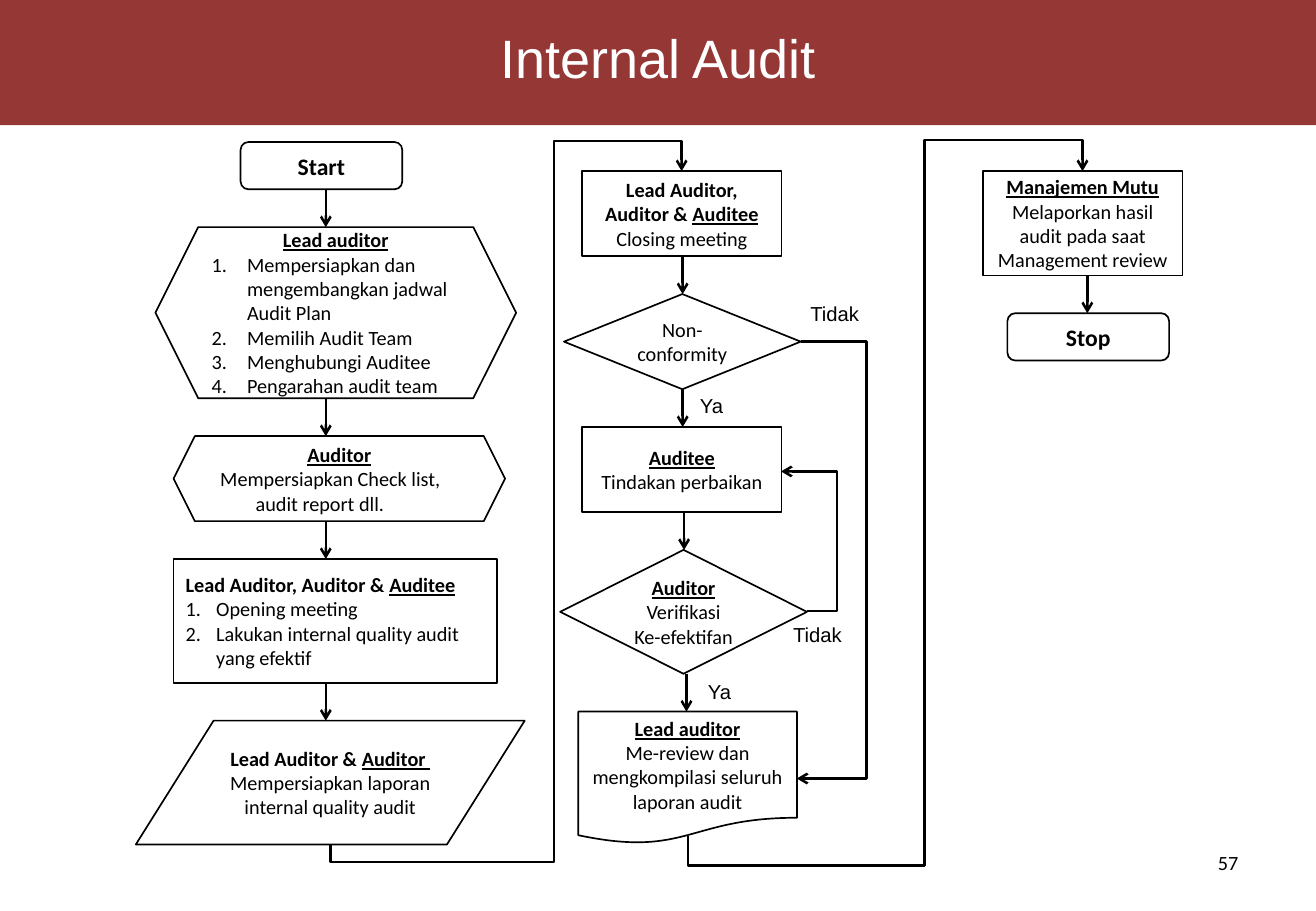
"""Build the Internal Audit flowchart slide."""
from dataclasses import dataclass
from typing import NamedTuple

from lxml import etree
from pptx import Presentation
from pptx.dml.color import RGBColor
from pptx.enum.shapes import MSO_CONNECTOR, MSO_SHAPE
from pptx.enum.text import MSO_ANCHOR, PP_ALIGN
from pptx.oxml.ns import qn
from pptx.util import Cm, Pt

LEFT, CENTER, RIGHT = PP_ALIGN.LEFT, PP_ALIGN.CENTER, PP_ALIGN.RIGHT
MIDDLE = MSO_ANCHOR.MIDDLE
STRAIGHT, ELBOW = MSO_CONNECTOR.STRAIGHT, MSO_CONNECTOR.ELBOW
RECTANGLE, DIAMOND, HEXAGON = MSO_SHAPE.RECTANGLE, MSO_SHAPE.DIAMOND, MSO_SHAPE.HEXAGON
TERMINAL = MSO_SHAPE.FLOWCHART_ALTERNATE_PROCESS
DATA, DOCUMENT = MSO_SHAPE.FLOWCHART_DATA, MSO_SHAPE.FLOWCHART_DOCUMENT


@dataclass(frozen=True)
class Theme:
    """Colours, fonts, type sizes and line widths."""
    banner: RGBColor = RGBColor(0x95, 0x37, 0x35)
    white: RGBColor = RGBColor(0xFF, 0xFF, 0xFF)
    ink: RGBColor = RGBColor(0, 0, 0)
    title_font: str = "Arial"
    body_font: str = "Calibri"
    title_size: int = 32
    terminal_size: int = 14
    body_size: int = 12
    outline: float = 1
    arrow: float = 1.5


THEME = Theme()


class Point(NamedTuple):
    x: float
    y: float


@dataclass(frozen=True)
class Para:
    """A paragraph whose underlined words follow the plain ones."""
    plain: str = ""
    underlined: str = ""
    bold: bool = False
    align: PP_ALIGN = CENTER
    indent: float = 0
    numbered: bool = False
    size: int = THEME.body_size
    font: str = THEME.body_font
    color: RGBColor = THEME.ink
    spacing: float = 1


@dataclass(frozen=True)
class Step:
    """A flowchart box; arrow_x places the arrow leaving its bottom."""
    kind: MSO_SHAPE
    left: float
    width: float
    height: float
    paras: tuple[Para, ...]
    arrow_x: float | None = None


@dataclass(frozen=True)
class Column:
    top: float
    steps: tuple[Step, ...]


class Label(NamedTuple):
    left: float
    top: float
    width: float
    height: float
    para: Para


class Loop(NamedTuple):
    """An arrow that returns from a lane at the right."""
    begin: Point
    end: Point
    lane: float


class Jump(NamedTuple):
    """An arrow from the foot of one column to the head of the next."""
    begin: Point
    end: Point
    low: float
    lane: float
    high: float


def head(underlined: str, plain: str = "", **options) -> Para:
    return Para(plain, underlined, bold=True, **options)


def item(text: str, indent: float) -> Para:
    return Para(text, align=LEFT, indent=indent, numbered=True)


def terminal(text: str, left: float, arrow_x: float | None = None) -> Step:
    para = Para(text, bold=True, size=THEME.terminal_size)
    return Step(TERMINAL, left, 3.38, 0.99, (para,), arrow_x)


def label(left: float, top: float, text: str) -> Label:
    return Label(left, top, 1.8, 0.76, Para(text, align=LEFT, font=THEME.title_font))


GAP = 0.79
WIDE, NARROW = 0.74, 0.64
SLIDE_WIDTH, SLIDE_HEIGHT = 27.51, 19.05
TITLE = Para("Internal Audit", size=THEME.title_size, font=THEME.title_font,
             color=THEME.white, spacing=0.8)
COLUMNS = (
    Column(2.97, (
        terminal("Start", 5.03, 6.81),
        Step(HEXAGON, 3.25, 7.54, 3.58, (
            head("Lead auditor", indent=WIDE),
            item("Mempersiapkan dan mengembangkan jadwal Audit Plan", WIDE),
            item("Memilih Audit Team", WIDE),
            item("Menghubungi Auditee", WIDE),
            item("Pengarahan audit team", WIDE)), 6.81),
        Step(HEXAGON, 3.63, 6.93, 1.78, (
            head("Auditor", indent=WIDE),
            Para("Mempersiapkan Check list, audit report dll.", align=LEFT, indent=WIDE)), 6.81),
        Step(RECTANGLE, 3.63, 6.76, 2.59, (
            head("Auditee", "Lead Auditor, Auditor & ", align=LEFT),
            item("Opening meeting", NARROW),
            item("Lakukan internal quality audit yang efektif", NARROW)), 6.81),
        Step(DATA, 2.84, 8.13, 2.59, (
            head("Auditor ", "Lead Auditor & "),
            Para("Mempersiapkan laporan internal quality audit"))))),
    Column(3.58, (
        Step(RECTANGLE, 12.17, 4.17, 1.78, (
            head("Auditee", "Lead Auditor, Auditor & "), Para("Closing meeting")), 14.27),
        Step(DIAMOND, 11.79, 4.95, 1.99, (Para("Non-conformity"),), 14.27),
        Step(RECTANGLE, 12.17, 4.17, 1.78, (
            head("Auditee"), Para("Tindakan perbaikan")), 14.3),
        Step(DIAMOND, 11.71, 5.16, 2.59, (
            head("Auditor"), Para("Verifikasi Ke-efektifan")), 14.35),
        Step(DOCUMENT, 12.09, 4.57, 2.77, (
            head("Lead auditor"),
            Para("Me-review dan mengkompilasi seluruh laporan audit"))))),
    Column(3.58, (
        Step(RECTANGLE, 20.55, 4.17, 2.18, (
            head("Manajemen Mutu"), Para("Melaporkan hasil audit pada saat"),
            Para("Management review")), 22.73),
        terminal("Stop", 21.06))),
)
LABELS = (
    label(14.38, 8.1, "Ya"), label(16.69, 6.17, "Tidak"),
    label(14.55, 14.07, "Ya"), label(16.33, 12.88, "Tidak"),
    Label(19.71, 17.65, 6.43, 1.02, Para("57", align=RIGHT)),
)
LOOPS = (
    Loop(Point(16.87, 12.78), Point(16.33, 9.86), 17.5),
    Loop(Point(16.74, 7.14), Point(16.66, 16.28), 18.11),
)
JUMPS = (
    Jump(Point(6.91, 17.65), Point(14.25, 3.58), 18.03, 11.58, 2.95),
    Jump(Point(14.38, 17.48), Point(22.63, 3.58), 18.11, 19.33, 2.92),
)


def write(frame, paras: tuple[Para, ...]) -> None:
    frame.word_wrap = True
    for index, para in enumerate(paras):
        paragraph = frame.add_paragraph() if index else frame.paragraphs[0]
        paragraph.alignment = para.align
        paragraph.line_spacing = para.spacing
        properties = paragraph._p.get_or_add_pPr()
        if para.indent:
            properties.set("marL", str(Cm(para.indent)))
            properties.set("indent", str(-Cm(para.indent)))
        if para.numbered:
            etree.SubElement(properties, qn("a:buFont"), typeface="+mj-lt")
            etree.SubElement(properties, qn("a:buAutoNum"), type="arabicPeriod")
        font = paragraph.font
        font.name, font.size, font.bold = para.font, Pt(para.size), para.bold
        font.color.rgb = para.color
        for text, underline in ((para.plain, False), (para.underlined, True)):
            if text:
                span = paragraph.add_run()
                span.text = text
                span.font.underline = underline


def add_box(page, kind: MSO_SHAPE, left: float, top: float, width: float, height: float,
            paras: tuple[Para, ...]):
    box = page.shapes.add_shape(kind, Cm(left), Cm(top), Cm(width), Cm(height))
    box.shadow.inherit = False
    box.fill.background()
    box.line.color.rgb = THEME.ink
    box.line.width = Pt(THEME.outline)
    box.text_frame.vertical_anchor = MIDDLE
    write(box.text_frame, paras)
    return box


def add_arrow(page, kind: MSO_CONNECTOR, begin: Point, end: Point, bends: tuple[float, ...] = ()):
    arrow = page.shapes.add_connector(kind, Cm(begin.x), Cm(begin.y), Cm(end.x), Cm(end.y))
    arrow.line.color.rgb = THEME.ink
    arrow.line.width = Pt(THEME.arrow)
    etree.SubElement(arrow.line._get_or_add_ln(), qn("a:tailEnd"), type="arrow")
    shape = arrow._element.spPr
    etree.SubElement(shape, qn("a:effectLst"))
    guides = shape.find(qn("a:prstGeom")).get_or_add_avLst()
    for number, bend in enumerate(bends, 1):
        name = f"adj{number}"
        etree.SubElement(guides, qn("a:gd"), name=name, fmla=f"val {round(bend * 100000)}")
    return arrow


def add_jump(page, jump: Jump) -> None:
    begin, end = jump.begin, jump.end
    center = Point((begin.x + end.x) / 2, (begin.y + end.y) / 2)
    across, down = (end.x - begin.x) / 2, (begin.y - end.y) / 2
    bends = ((begin.y - jump.low) / (2 * down), (jump.lane - begin.x) / (2 * across),
             (begin.y - jump.high) / (2 * down))
    arrow = add_arrow(page, ELBOW, Point(center.x + down, center.y + across),
                      Point(center.x - down, center.y - across), bends)
    shape = arrow._element.spPr
    shape.find(qn("a:xfrm")).set("rot", "5400000")
    shape.find(qn("a:prstGeom")).set("prst", "bentConnector5")


def add_column(page, column: Column) -> None:
    top = column.top
    for step in column.steps:
        add_box(page, step.kind, step.left, top, step.width, step.height, step.paras)
        bottom = top + step.height
        top = bottom + GAP
        if step.arrow_x is not None:
            add_arrow(page, STRAIGHT, Point(step.arrow_x, bottom), Point(step.arrow_x, top))


def main() -> None:
    deck = Presentation()
    deck.slide_width, deck.slide_height = Cm(SLIDE_WIDTH), Cm(SLIDE_HEIGHT)
    page = deck.slides.add_slide(deck.slide_layouts[6])
    banner = add_box(page, RECTANGLE, 0, 0, SLIDE_WIDTH, 2.62, (TITLE,))
    banner.fill.solid()
    banner.fill.fore_color.rgb = THEME.banner
    banner.line.fill.background()
    for column in COLUMNS:
        add_column(page, column)
    for loop in LOOPS:
        bend = (loop.lane - loop.begin.x) / (loop.end.x - loop.begin.x)
        add_arrow(page, ELBOW, loop.begin, loop.end, (bend,))
    for jump in JUMPS:
        add_jump(page, jump)
    for left, top, width, height, para in LABELS:
        box = page.shapes.add_textbox(Cm(left), Cm(top), Cm(width), Cm(height))
        write(box.text_frame, (para,))
    deck.save("out.pptx")


if __name__ == "__main__":
    main()
